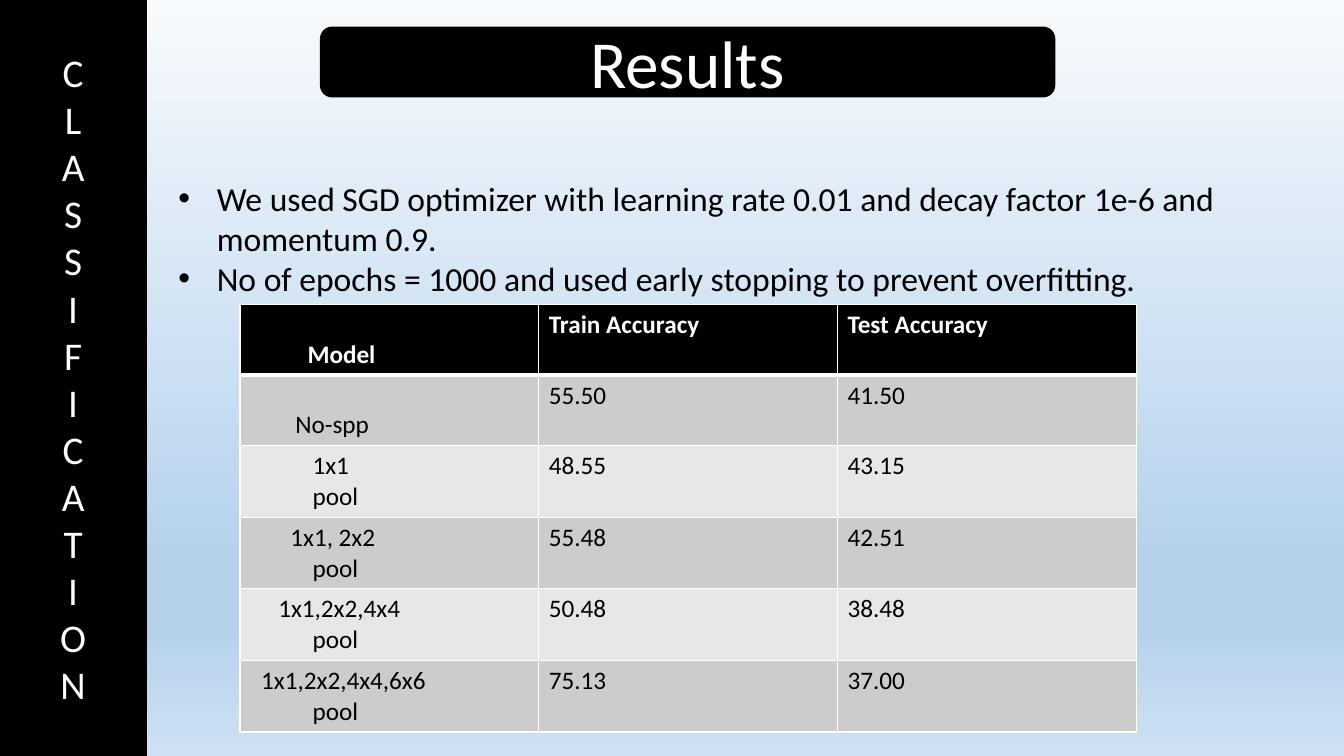
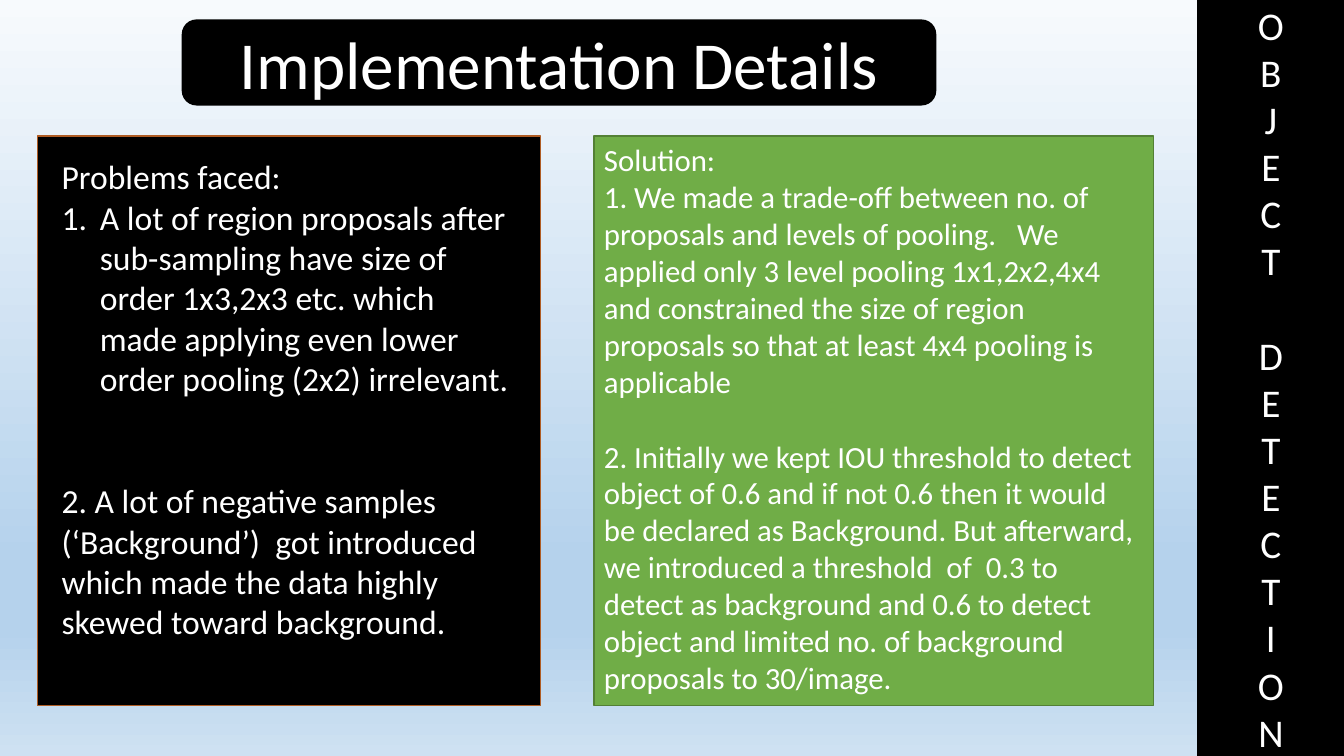
import pptx
import pptx.util
import pptx.dml.color
import pptx.enum.shapes
import pptx.enum.text
import pptx.oxml.ns
from lxml import etree

Inches, Pt = pptx.util.Inches, pptx.util.Pt
ANCHOR = pptx.enum.text.MSO_ANCHOR
ALIGN = pptx.enum.text.PP_ALIGN
SHAPE = pptx.enum.shapes.MSO_SHAPE
qn = pptx.oxml.ns.qn

# Shared look
COLORS = {"black": "000000", "white": "FFFFFF", "rust": "AF5C24",
          "green": "70AD47", "dark green": "538035",
          "odd row": "CCCCCC", "even row": "E7E7E7"}
SKY = [(0, "F7FAFD"), (74, "B5D2EC"), (83, "B5D2EC"), (100, "CEE1F2")]
FONT = "Calibri"
SLIDE_W, SLIDE_H, BAND_W = 13.33, 7.5, 1.45
HANGING = 0.38
LINE_HEIGHT = 1.22  # line pitch relative to the text size
BAND_SIZE = 28

# Content: a paragraph is (text, bullet, blank lines of space before)
RESULTS = {
    "title": "Results", "title at": (3.18, 0.27, 7.28, 0.69),
    "band": "CLASSIFICATION", "band left": 0, "layout": 1,
    "bodies": [{
        "at": (1.67, 1.71, 11.35, 1.31), "size": 24, "color": "black",
        "paragraphs": [
            ("We used SGD optimizer with learning rate 0.01 and decay factor "
             "1e-6 and momentum 0.9.", "•", 0),
            ("No of epochs = 1000 and used early stopping to prevent "
             "overfitting.", "•", 0)],
    }],
}
DETAILS = {
    "title": "Implementation Details", "title at": (1.81, 0.2, 7.47, 0.84),
    "band": "OBJECT DETECTION", "band left": SLIDE_W - BAND_W, "layout": 3,
    "bodies": [{
        "at": (0.37, 1.35, 4.99, 5.65), "size": 24, "color": "white",
        "panel": ("black", "rust"), "margins": (0.24, 0.2, 0.25, 0.05),
        "paragraphs": [
            ("Problems faced:", None, 0),
            ("A lot of region proposals after sub-sampling have size of order "
             "1x3,2x3 etc. which made applying even lower order pooling (2x2) "
             "irrelevant.", "1.", 0),
            ("2. A lot of negative samples (‘Background’)  got introduced "
             "which made the data highly skewed toward background.", None, 2)],
    }, {
        "at": (5.89, 1.35, 5.55, 5.65), "size": 22, "color": "white",
        "panel": ("green", "dark green"),
        "paragraphs": [
            ("Solution:", None, 0),
            ("1. We made a trade-off between no. of proposals and levels of "
             "pooling.   We applied only 3 level pooling 1x1,2x2,4x4 and "
             "constrained the size of region proposals so that at least 4x4 "
             "pooling is applicable", None, 0),
            ("2. Initially we kept IOU threshold to detect object of 0.6 and "
             "if not 0.6 then it would be declared as Background. But "
             "afterward, we introduced a threshold  of  0.3 to detect as "
             "background and 0.6 to detect object and limited no. of "
             "background proposals to 30/image.", None, 1)],
    }],
}
# Model lines carry their own left indent
POOL = (0.62, "pool")
ACCURACY = [
    ([(0.57, "Model")], "Train Accuracy", "Test Accuracy"),
    ([(0.45, "No-spp")], "55.50", "41.50"),
    ([(0.62, "1x1"), POOL], "48.55", "43.15"),
    ([(0.4, "1x1, 2x2"), POOL], "55.48", "42.51"),
    ([(0.28, "1x1,2x2,4x4"), POOL], "50.48", "38.48"),
    ([(0.11, "1x1,2x2,4x4,6x6"), POOL], "75.13", "37.00"),
]
TABLE_AT = (2.38, 3.02, 8.89, 4.2)


def rgb(color):
    return pptx.dml.color.RGBColor.from_string(COLORS[color])


def set_all(target, values):
    for name, value in values.items():
        setattr(target, name, value)


def place(shape, at):
    names = ("left", "top", "width", "height")
    set_all(shape, dict(zip(names, map(Inches, at))))


def paint(shape, fill, line):
    shape.fill.solid()
    shape.fill.fore_color.rgb = rgb(fill)
    shape.line.color.rgb = rgb(line)
    shape.line.width = Pt(1)


def set_font(paragraph, size, color, bold=False):
    set_all(paragraph.font, {"name": FONT, "size": Pt(size), "bold": bold})
    paragraph.font.color.rgb = rgb(color)


def indent(paragraph, left, first=0):
    props = paragraph._p.get_or_add_pPr()
    props.set("marL", str(Inches(left)))
    props.set("indent", str(Inches(first)))
    return props


def add_paragraph(frame, index):
    return frame.add_paragraph() if index else frame.paragraphs[0]


def set_sky(master):
    fill = master.background.fill
    fill.gradient()
    fill.gradient_angle = 270
    stops = master.element.xpath("./p:cSld/p:bg//a:gsLst")[0]
    for stop in list(stops):
        stops.remove(stop)
    for percent, color in SKY:
        stop = etree.SubElement(stops, qn("a:gs"), pos=str(percent * 1000))
        etree.SubElement(stop, qn("a:srgbClr"), val=color)


def add_backdrop(slide, kind, at):
    """Black shape behind the placeholders."""
    backdrop = slide.shapes.add_shape(kind, *map(Inches, at))
    backdrop.shadow.inherit = False
    paint(backdrop, "black", "black")
    slide.shapes._spTree.insert(2, backdrop._element)
    return backdrop


def add_band(slide, word, left):
    band = add_backdrop(slide, SHAPE.RECTANGLE, (left, 0, BAND_W, SLIDE_H))
    frame = band.text_frame
    frame.vertical_anchor = ANCHOR.MIDDLE
    letters = [(letter, gap) for gap, part in enumerate(word.split())
               for letter in part]
    previous_gap = 0
    for index, (letter, gap) in enumerate(letters):
        paragraph = add_paragraph(frame, index)
        paragraph.text = letter
        paragraph.alignment = ALIGN.CENTER
        if gap != previous_gap:
            paragraph.space_before = Pt(round(BAND_SIZE * LINE_HEIGHT, 1))
        previous_gap = gap
        set_font(paragraph, BAND_SIZE, "white")


def set_title(slide, text, at):
    add_backdrop(slide, SHAPE.ROUNDED_RECTANGLE, at)
    title = slide.shapes.title
    place(title, at)
    set_all(title.text_frame, {
        "text": text, "vertical_anchor": ANCHOR.MIDDLE, "word_wrap": True,
        "auto_size": pptx.enum.text.MSO_AUTO_SIZE.NONE,
        "margin_top": 0, "margin_bottom": 0})
    heading = title.text_frame.paragraphs[0]
    heading.alignment = ALIGN.CENTER
    set_font(heading, 48, "white")


def set_bullet(paragraph, bullet):
    hang = HANGING if bullet else 0
    props = indent(paragraph, hang, -hang)
    if bullet == "•":
        etree.SubElement(props, qn("a:buFont"), typeface="Arial")
        etree.SubElement(props, qn("a:buChar"), char=bullet)
    elif bullet:
        etree.SubElement(props, qn("a:buFont"), typeface="+mj-lt")
        etree.SubElement(props, qn("a:buAutoNum"), type="arabicPeriod")
    else:
        etree.SubElement(props, qn("a:buNone"))


def fill_body(body, content):
    place(body, content["at"])
    if "panel" in content:
        paint(body, *content["panel"])
    frame = body.text_frame
    sides = ("margin_left", "margin_top", "margin_right", "margin_bottom")
    margins = content.get("margins", (0.1, 0.05, 0.1, 0.05))
    set_all(frame, dict(zip(sides, map(Inches, margins))))
    set_all(frame, {"word_wrap": True, "vertical_anchor": ANCHOR.TOP,
                    "auto_size": pptx.enum.text.MSO_AUTO_SIZE.NONE})
    size = content["size"]
    for index, (text, bullet, gap) in enumerate(content["paragraphs"]):
        paragraph = add_paragraph(frame, index)
        paragraph.text = text
        set_bullet(paragraph, bullet)
        set_all(paragraph, {
            "alignment": ALIGN.LEFT, "line_spacing": 1.0,
            "space_before": Pt(round(gap * size * LINE_HEIGHT, 1)),
            "space_after": Pt(0)})
        set_font(paragraph, size, content["color"])


def set_borders(cell, bottom):
    props = cell._tc.get_or_add_tcPr()
    widths = {"a:lnL": 1, "a:lnR": 1, "a:lnT": 1, "a:lnB": bottom}
    for index, (side, width) in enumerate(widths.items()):
        border = etree.Element(qn(side), w=str(Pt(width)))
        fill = etree.SubElement(border, qn("a:solidFill"))
        etree.SubElement(fill, qn("a:srgbClr"), val=COLORS["white"])
        props.insert(index, border)


def add_accuracy_table(slide):
    table = slide.shapes.add_table(len(ACCURACY), len(ACCURACY[0]),
                                   *map(Inches, TABLE_AT)).table
    for row, (model, *scores) in enumerate(ACCURACY):
        header = row == 0
        shade = "black" if header else "odd row" if row % 2 else "even row"
        columns = [model] + [[(0, score)] for score in scores]
        for column, lines in enumerate(columns):
            cell = table.cell(row, column)
            cell.vertical_anchor = ANCHOR.TOP if column else ANCHOR.BOTTOM
            cell.fill.solid()
            cell.fill.fore_color.rgb = rgb(shade)
            set_borders(cell, 3 if header else 1)
            for index, (left, text) in enumerate(lines):
                paragraph = add_paragraph(cell.text_frame, index)
                paragraph.text = text
                indent(paragraph, left)
                set_font(paragraph, 18, "white" if header else "black", header)


def add_slide(prs, content):
    slide = prs.slides.add_slide(prs.slide_layouts[content["layout"]])
    set_title(slide, content["title"], content["title at"])
    add_band(slide, content["band"], content["band left"])
    for index, body in enumerate(content["bodies"], start=1):
        fill_body(slide.placeholders[index], body)
    return slide


def main():
    prs = pptx.Presentation()
    prs.slide_width, prs.slide_height = Inches(SLIDE_W), Inches(SLIDE_H)
    set_sky(prs.slide_master)
    add_accuracy_table(add_slide(prs, RESULTS))
    add_slide(prs, DETAILS)
    prs.save("out.pptx")


if __name__ == "__main__":
    main()
